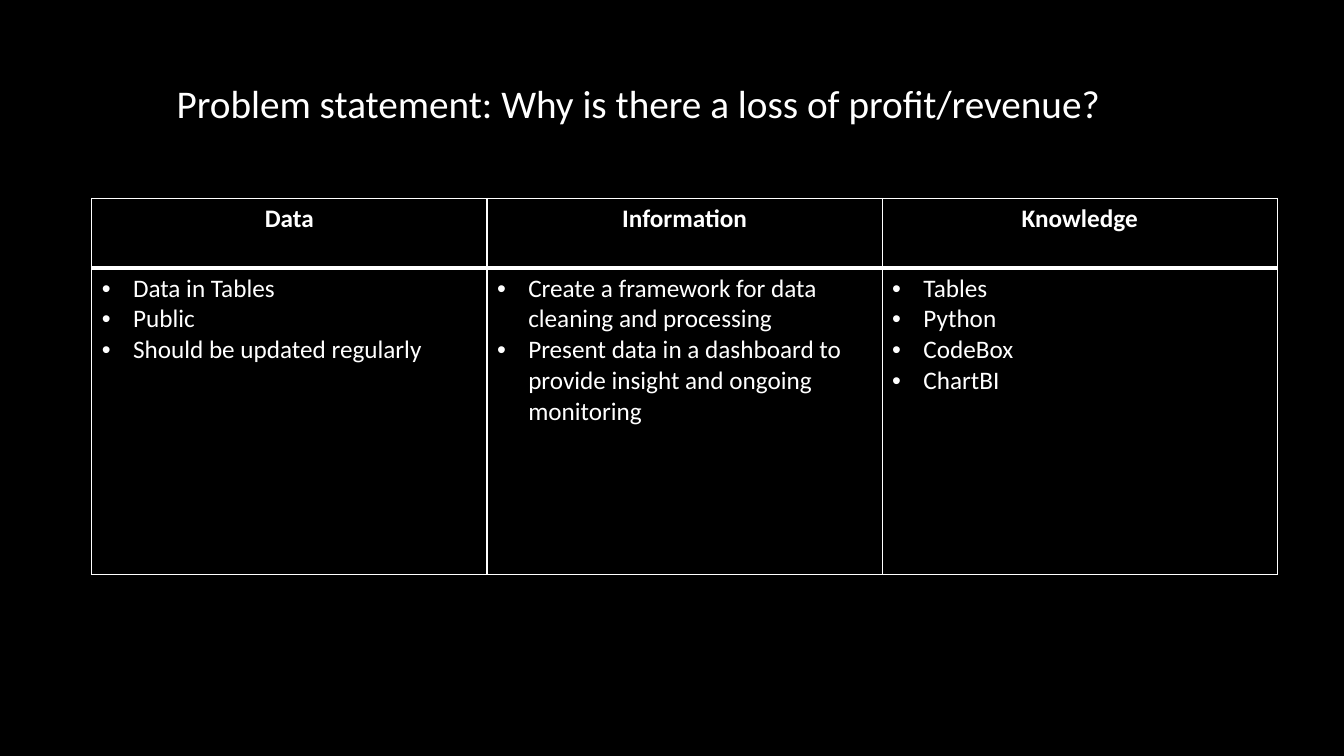
from lxml.etree import SubElement
from pptx import Presentation
from pptx.dml.color import RGBColor
from pptx.enum.text import MSO_ANCHOR as Anchor, PP_ALIGN as Align
from pptx.oxml.ns import qn
from pptx.util import Inches, Pt

PROBLEM = "Problem statement: Why is there a loss of profit/revenue?"
STAGES = {
    "Data": ["Data in Tables", "Public", "Should be updated regularly"],
    "Information": [
        "Create a framework for data cleaning and processing",
        "Present data in a dashboard to provide insight and ongoing monitoring",
    ],
    "Knowledge": ["Tables", "Python", "CodeBox", "ChartBI"],
}
BLACK, WHITE = "000000", "FFFFFF"
COLUMN_WIDTH = 3.92
HEADING_HEIGHT, POINTS_HEIGHT = 0.69, 3.04
THIN, THICK = 1, 3
BULLET_INDENT = Inches(0.31)


def color(hex_code):
    return RGBColor.from_string(hex_code)


def add_text(paragraph, text, size, bold=False):
    run = paragraph.add_run()
    run.text = text
    run.font.name = "Calibri"
    run.font.size = Pt(size)
    run.font.bold = bold
    run.font.color.rgb = color(WHITE)


def add_bullet(paragraph):
    properties = paragraph._p.get_or_add_pPr()
    properties.set("marL", str(BULLET_INDENT))
    properties.set("indent", str(-BULLET_INDENT))
    SubElement(properties, qn("a:buFont"), typeface="Arial")
    SubElement(properties, qn("a:buChar"), char="•")


def style_cell(cell, top, bottom):
    properties = cell._tc.get_or_add_tcPr()
    for side, width in (("L", THIN), ("R", THIN), ("T", top), ("B", bottom)):
        border = SubElement(properties, qn(f"a:ln{side}"), w=str(Pt(width)))
        fill = SubElement(border, qn("a:solidFill"))
        SubElement(fill, qn("a:srgbClr"), val=WHITE)
    cell.fill.background()


deck = Presentation()
deck.slide_width, deck.slide_height = Inches(13.33), Inches(7.5)
slide = deck.slides.add_slide(deck.slide_layouts[6])
slide.background.fill.solid()
slide.background.fill.fore_color.rgb = color(BLACK)

title = slide.shapes.add_textbox(Inches(1.33), Inches(0.7), Inches(10), Inches(0.61)).text_frame
title.word_wrap = True
title.vertical_anchor = Anchor.BOTTOM
title.paragraphs[0].alignment = Align.CENTER
title.paragraphs[0].line_spacing = 0.9
add_text(title.paragraphs[0], PROBLEM, 28)

table = slide.shapes.add_table(
    2, len(STAGES), Inches(0.91), Inches(1.97),
    Inches(COLUMN_WIDTH * len(STAGES)), Inches(HEADING_HEIGHT + POINTS_HEIGHT),
).table
table.rows[0].height = Inches(HEADING_HEIGHT)
table.rows[1].height = Inches(POINTS_HEIGHT)

for column, (stage, points) in enumerate(STAGES.items()):
    table.columns[column].width = Inches(COLUMN_WIDTH)
    heading, body = table.cell(0, column), table.cell(1, column)
    style_cell(heading, THIN, THICK)
    style_cell(body, THICK, THIN)

    heading_line = heading.text_frame.paragraphs[0]
    heading_line.alignment = Align.CENTER
    add_text(heading_line, stage, 18, bold=True)

    for row, point in enumerate(points):
        frame = body.text_frame
        line = frame.add_paragraph() if row else frame.paragraphs[0]
        add_bullet(line)
        add_text(line, point, 18)

deck.save("out.pptx")
